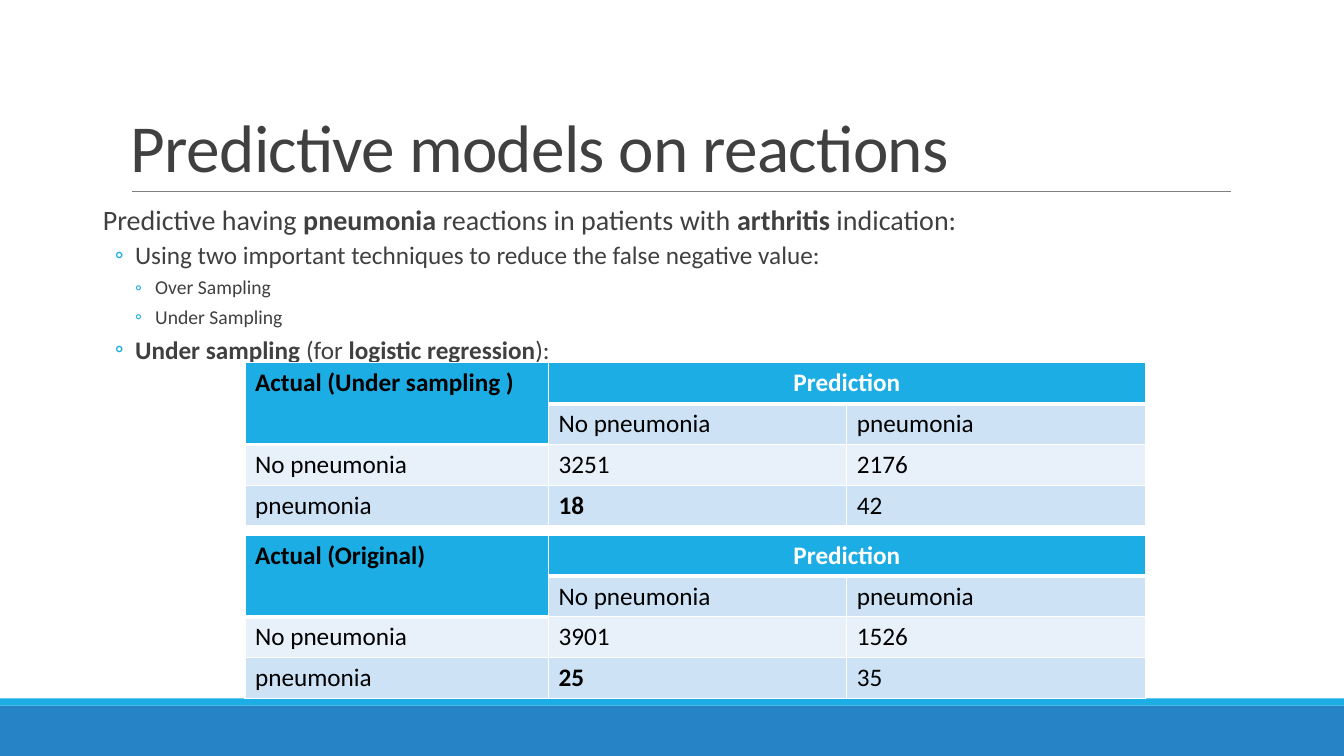
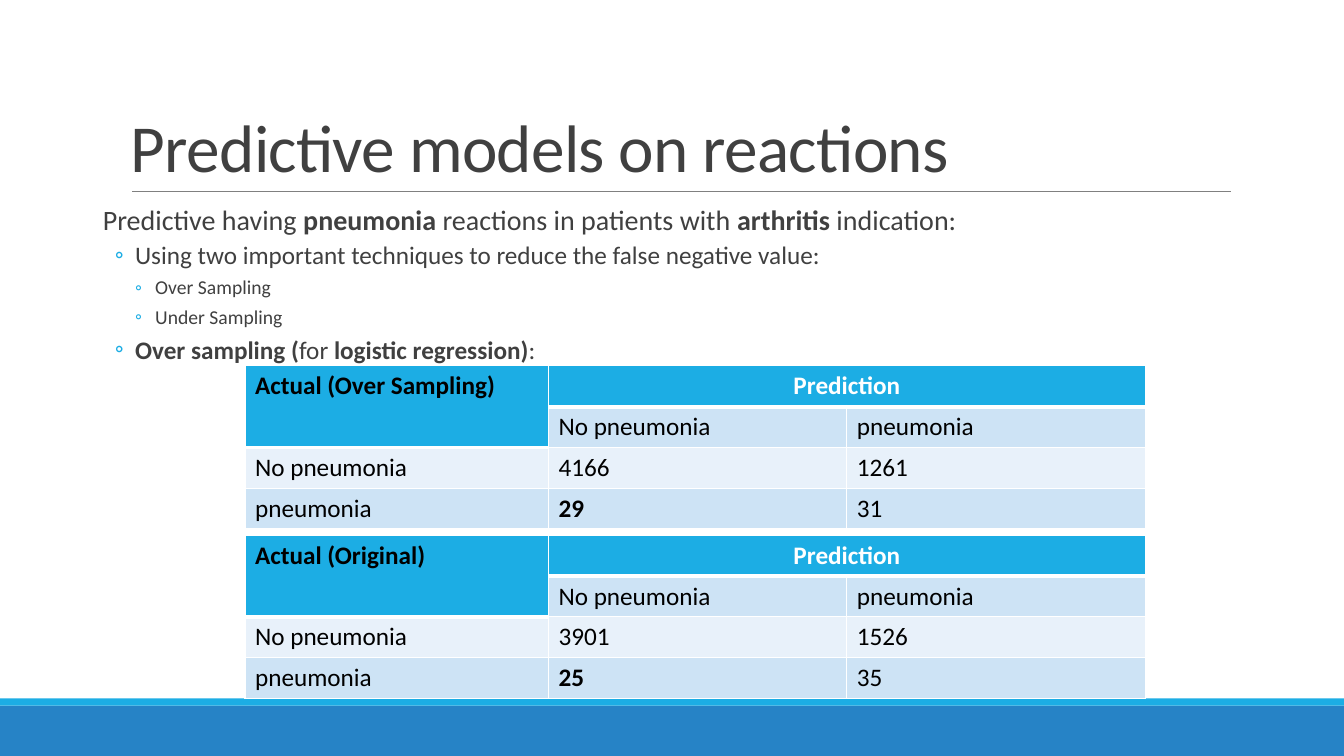
import dataclasses
import typing

import lxml.etree
import pptx
import pptx.dml.color
import pptx.enum.shapes
import pptx.enum.text
import pptx.oxml.ns
import pptx.util

Inches = pptx.util.Inches
Pt = pptx.util.Pt

FONT = "Calibri"
WHITE, BLACK, GREY, RULE = "FFFFFF", "000000", "404040", "808080"
BLUE, SKY, TINT, PALE = "2683C6", "1CADE4", "CDE3F5", "E8F1FA"
SLIDE_WIDTH, SLIDE_HEIGHT = 13.33, 7.5
TABLE_LEFT, ROW_HEIGHT, COLUMN_WIDTHS = 2.43, 0.405, (3.01, 2.96, 2.96)
ORIGINAL_TOP = 5.31
ROW_FILLS = (SKY, TINT, PALE, TINT)


@dataclasses.dataclass(frozen=True)
class Band:
    top: float
    height: float
    color: str


@dataclasses.dataclass(frozen=True)
class Level:
    size: int
    margin: float
    indent: float
    bullet: str
    before: int
    after: int


@dataclasses.dataclass(frozen=True)
class Matrix:
    heading: str
    top: float
    negative: tuple[str, str]
    positive: tuple[str, str]


@dataclasses.dataclass(frozen=True)
class Page:
    technique: str
    matrix: Matrix


BANDS = (Band(7, 0.5, BLUE), Band(6.93, 0.07, SKY))
LEVELS = (
    Level(20, 0.1, 0, "", 0, 2),
    Level(18, 0.42, -0.2, "◦", 2, 4),
    Level(14, 0.62, -0.2, "◦", 2, 4),
)
TITLE = "Predictive models on reactions"
INTRO = (
    (0, "Predictive having *pneumonia* reactions in patients with *arthritis* indication:"),
    (1, "Using two important techniques to reduce the false negative value:"),
    (2, "Over Sampling"),
    (2, "Under Sampling"),
)
ORIGINAL = Matrix("Actual (Original)", ORIGINAL_TOP, ("3901", "1526"), ("25", "35"))
PAGES = (
    Page(
        "*Under sampling *(for *logistic regression*):",
        Matrix("Actual (Under sampling )", 3.6, ("3251", "2176"), ("18", "42")),
    ),
    Page(
        "*Over sampling (*for* logistic regression)*:",
        Matrix("Actual (Over Sampling)", 3.63, ("4166", "1261"), ("29", "31")),
    ),
)


def rgb(color: str) -> pptx.dml.color.RGBColor:
    return pptx.dml.color.RGBColor.from_string(color)


def apply(target: typing.Any, formats: dict[str, typing.Any]) -> None:
    for name, value in formats.items():
        setattr(target, name, value)


def add_child(parent: typing.Any, tag: str, **attributes: str) -> typing.Any:
    return lxml.etree.SubElement(parent, pptx.oxml.ns.qn(tag), attributes)


def add_span(para: typing.Any, text: str, size: float, color: str, bold: bool = False) -> typing.Any:
    span = para.add_run()
    span.text = text
    apply(span.font, {"name": FONT, "size": Pt(size), "bold": bold})
    span.font.color.rgb = rgb(color)
    return span


def draw_frame(page: typing.Any) -> None:
    for band in BANDS:
        shape = page.shapes.add_shape(
            pptx.enum.shapes.MSO_SHAPE.RECTANGLE,
            0, Inches(band.top), Inches(SLIDE_WIDTH), Inches(band.height),
        )
        shape.shadow.inherit = False
        shape.fill.solid()
        shape.fill.fore_color.rgb = rgb(band.color)
        shape.line.fill.background()
    rule = page.shapes.add_connector(
        pptx.enum.shapes.MSO_CONNECTOR.STRAIGHT,
        Inches(1.31), Inches(1.9), Inches(12.21), Inches(1.9),
    )
    rule.line.color.rgb = rgb(RULE)
    rule.line.width = Pt(0.5)
    add_child(rule._element.spPr, "a:effectLst")


def draw_title(page: typing.Any) -> None:
    box = page.shapes.add_textbox(Inches(1.2), Inches(0.31), Inches(11), Inches(1.59))
    apply(box.text_frame, {
        "word_wrap": True,
        "vertical_anchor": pptx.enum.text.MSO_ANCHOR.BOTTOM,
    })
    para = box.text_frame.paragraphs[0]
    para.line_spacing = 0.85
    span = add_span(para, TITLE, 48, GREY)
    span.font._element.set("spc", "-50")


def format_level(para: typing.Any, level: Level) -> None:
    apply(para, {
        "line_spacing": 0.9,
        "space_before": Pt(level.before),
        "space_after": Pt(level.after),
    })
    properties = para._p.get_or_add_pPr()
    properties.set("marL", str(Inches(level.margin)))
    properties.set("indent", str(Inches(level.indent)))
    if level.bullet:
        color = add_child(properties, "a:buClr")
        add_child(color, "a:srgbClr", val=SKY)
        add_child(properties, "a:buFont", typeface=FONT)
        add_child(properties, "a:buChar", char=level.bullet)


def draw_body(page: typing.Any, technique: str) -> None:
    box = page.shapes.add_textbox(Inches(0.92), Inches(2), Inches(11.5), Inches(5.5))
    frame = box.text_frame
    apply(frame, {"word_wrap": True, "margin_left": 0, "margin_right": 0})
    for index, (depth, text) in enumerate((*INTRO, (1, technique))):
        para = frame.add_paragraph() if index else frame.paragraphs[0]
        level = LEVELS[depth]
        format_level(para, level)
        para.level = depth
        for position, part in enumerate(text.split("*")):
            if part:
                add_span(para, part, level.size, GREY, position % 2 == 1)


def is_header(row: int, column: int) -> bool:
    return row == 0 or (row == 1 and column == 0)


def draw_borders(cell: typing.Any, row: int, column: int) -> None:
    properties = cell._tc.get_or_add_tcPr()
    below_header = row > 0 and is_header(row - 1, column)
    widths = {
        "a:lnL": 1,
        "a:lnR": 1,
        "a:lnT": 3 if below_header else 1,
        "a:lnB": 3 if is_header(row, column) else 1,
    }
    for index, (tag, width) in enumerate(widths.items()):
        border = add_child(properties, tag, w=str(Pt(width)))
        fill = add_child(border, "a:solidFill")
        add_child(fill, "a:srgbClr", val=WHITE)
        properties.insert(index, border)


def draw_matrix(page: typing.Any, matrix: Matrix) -> None:
    rows = (
        (matrix.heading, "Prediction", ""),
        ("", "No pneumonia", "pneumonia"),
        ("No pneumonia", *matrix.negative),
        ("pneumonia", *matrix.positive),
    )
    table = page.shapes.add_table(
        len(rows), len(COLUMN_WIDTHS), Inches(TABLE_LEFT), Inches(matrix.top),
        Inches(sum(COLUMN_WIDTHS)), Inches(ROW_HEIGHT * len(rows)),
    ).table
    apply(table, {"first_row": False, "horz_banding": False})
    for column, width in zip(table.columns, COLUMN_WIDTHS):
        column.width = Inches(width)
    for row, texts in enumerate(rows):
        table.rows[row].height = Inches(ROW_HEIGHT)
        for column, text in enumerate(texts):
            cell = table.cell(row, column)
            header = is_header(row, column)
            cell.fill.solid()
            cell.fill.fore_color.rgb = rgb(SKY if header else ROW_FILLS[row])
            draw_borders(cell, row, column)
            if text:
                para = cell.text_frame.paragraphs[0]
                prediction = header and column > 0
                if prediction:
                    para.alignment = pptx.enum.text.PP_ALIGN.CENTER
                false_negative = (row, column) == (3, 1)
                add_span(para, text, 18, WHITE if prediction else BLACK, header or false_negative)
    table.cell(0, 0).merge(table.cell(1, 0))
    table.cell(0, 1).merge(table.cell(0, 2))


def main() -> None:
    deck = pptx.Presentation()
    apply(deck, {"slide_width": Inches(SLIDE_WIDTH), "slide_height": Inches(SLIDE_HEIGHT)})
    for content in PAGES:
        page = deck.slides.add_slide(deck.slide_layouts[6])
        draw_frame(page)
        draw_title(page)
        draw_body(page, content.technique)
        for matrix in (content.matrix, ORIGINAL):
            draw_matrix(page, matrix)
    deck.save("out.pptx")


if __name__ == "__main__":
    main()
